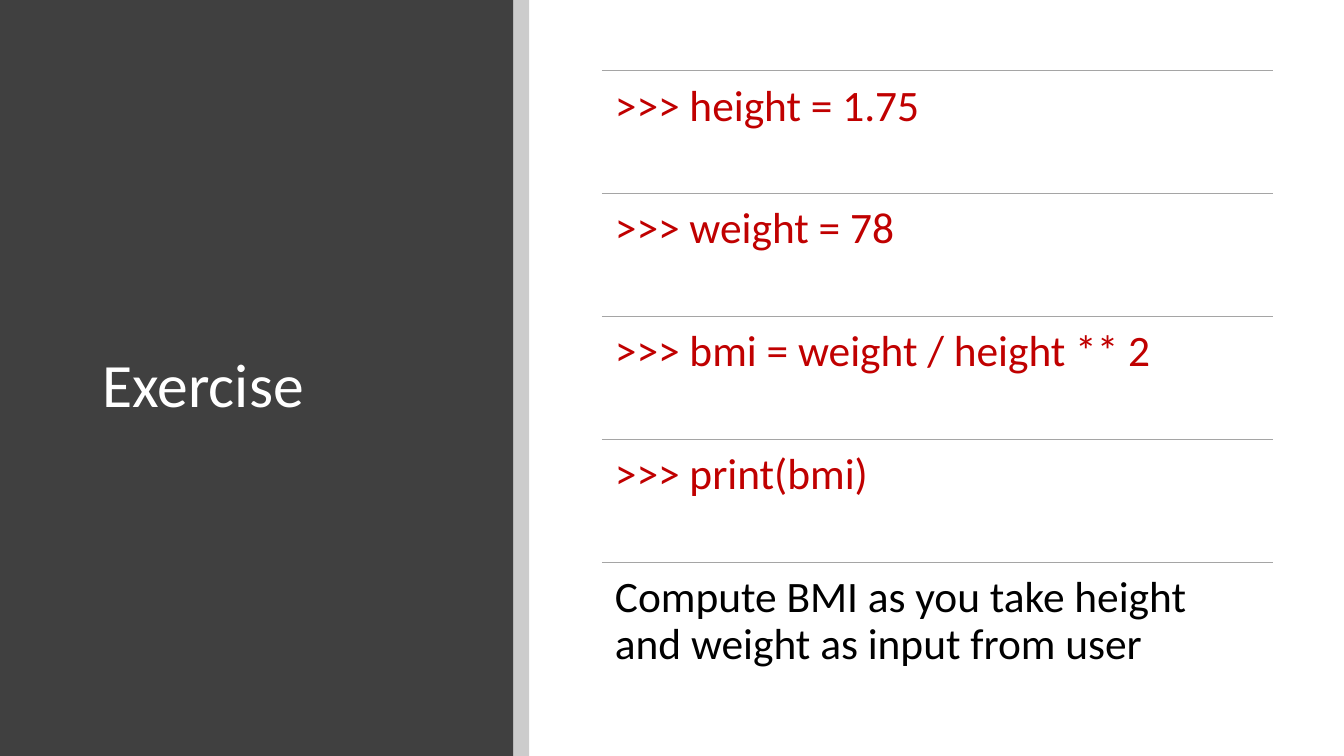
from pptx import Presentation
from pptx.dml.color import RGBColor
from pptx.enum.shapes import MSO_CONNECTOR, MSO_SHAPE
from pptx.enum.text import MSO_ANCHOR
from pptx.oxml.ns import qn
from pptx.util import Pt
from lxml.etree import SubElement

COLORS = {
    "panel": "404040",
    "strip": "000000",
    "rule": "A5A5A5",
    "title": "FFFFFF",
    "code": "C00000",
    "task": "000000",
}
WIDTH, HEIGHT = 960, 540


class Deck:
    font = "Calibri"
    line_spacing = 0.9

    def __init__(self, slide):
        self.s = slide

    def color(self, name):
        return RGBColor.from_string(COLORS[name])

    def rect(self, x, y, w, h, color, opacity=None):
        sp = self.s.shapes.add_shape(MSO_SHAPE.RECTANGLE, Pt(x), Pt(y), Pt(w), Pt(h))
        sp.shadow.inherit = False
        sp.line.fill.background()
        sp.fill.solid()
        sp.fill.fore_color.rgb = self.color(color)
        if opacity is not None:
            clr = next(sp.fill._xPr.iter(qn("a:srgbClr")))
            SubElement(clr, qn("a:alpha")).set("val", str(opacity * 1000))

    def rule(self, x, y, w):
        line = self.s.shapes.add_connector(
            MSO_CONNECTOR.STRAIGHT, Pt(x), Pt(y), Pt(x + w), Pt(y))
        line.line.color.rgb = self.color("rule")
        line.line.width = Pt(1)
        SubElement(line._element.spPr, qn("a:effectLst"))

    def text(self, x, y, w, h, text, size, color, inset, anchor=MSO_ANCHOR.TOP):
        tf = self.s.shapes.add_textbox(Pt(x), Pt(y), Pt(w), Pt(h)).text_frame
        tf.word_wrap = True
        tf.vertical_anchor = anchor
        tf.margin_left = tf.margin_right = Pt(inset[0])
        tf.margin_top = tf.margin_bottom = Pt(inset[1])
        p = tf.paragraphs[0]
        p.text = text
        p.line_spacing = self.line_spacing
        p.font.name = self.font
        p.font.size = Pt(size)
        p.font.color.rgb = self.color(color)


prs = Presentation()
prs.slide_width, prs.slide_height = Pt(WIDTH), Pt(HEIGHT)
deck = Deck(prs.slides.add_slide(prs.slide_layouts[6]))

# Title panel with its edge strip
PANEL_W, STRIP_W = 366.5, 11.5
deck.rect(0, 0, PANEL_W, HEIGHT, "panel")
deck.text(66.25, 64, 263, 425.5, "Exercise", 44, "title", (7.2, 3.6), MSO_ANCHOR.MIDDLE)
deck.rect(PANEL_W, 0, STRIP_W, HEIGHT, "strip", opacity=20)

# Ruled rows: code steps, then the task
LEFT, TOP, ROW_W, ROW_H = 430, 50.4, 479.5, 87.8
ROWS = [
    (">>> height = 1.75", "code"),
    (">>> weight = 78", "code"),
    (">>> bmi = weight / height ** 2", "code"),
    (">>> print(bmi)", "code"),
    ("Compute BMI as you take height and weight as input from user", "task"),
]
for i, (row, color) in enumerate(ROWS):
    y = TOP + i * ROW_H
    deck.rule(LEFT, y, ROW_W)
    deck.text(LEFT, y, ROW_W, ROW_H, row, 31, color, (9.3, 9.3))

prs.save("out.pptx")
